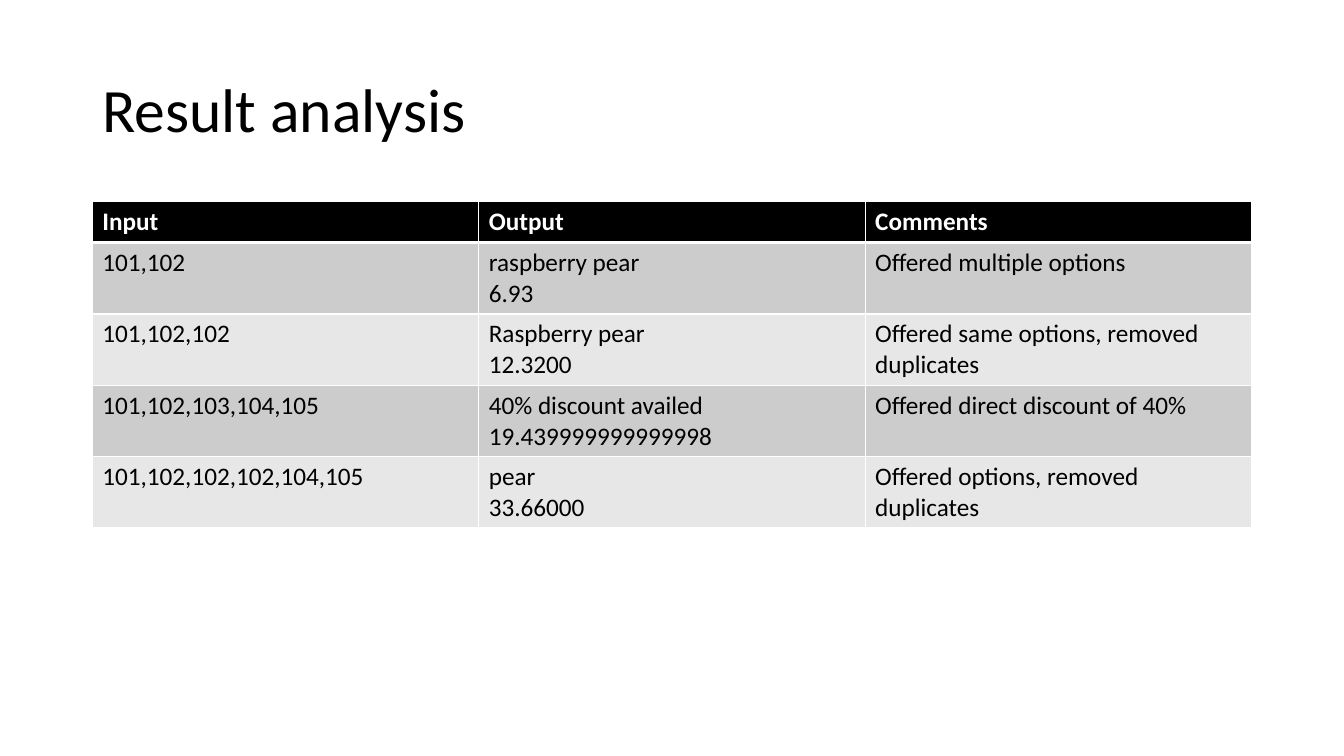
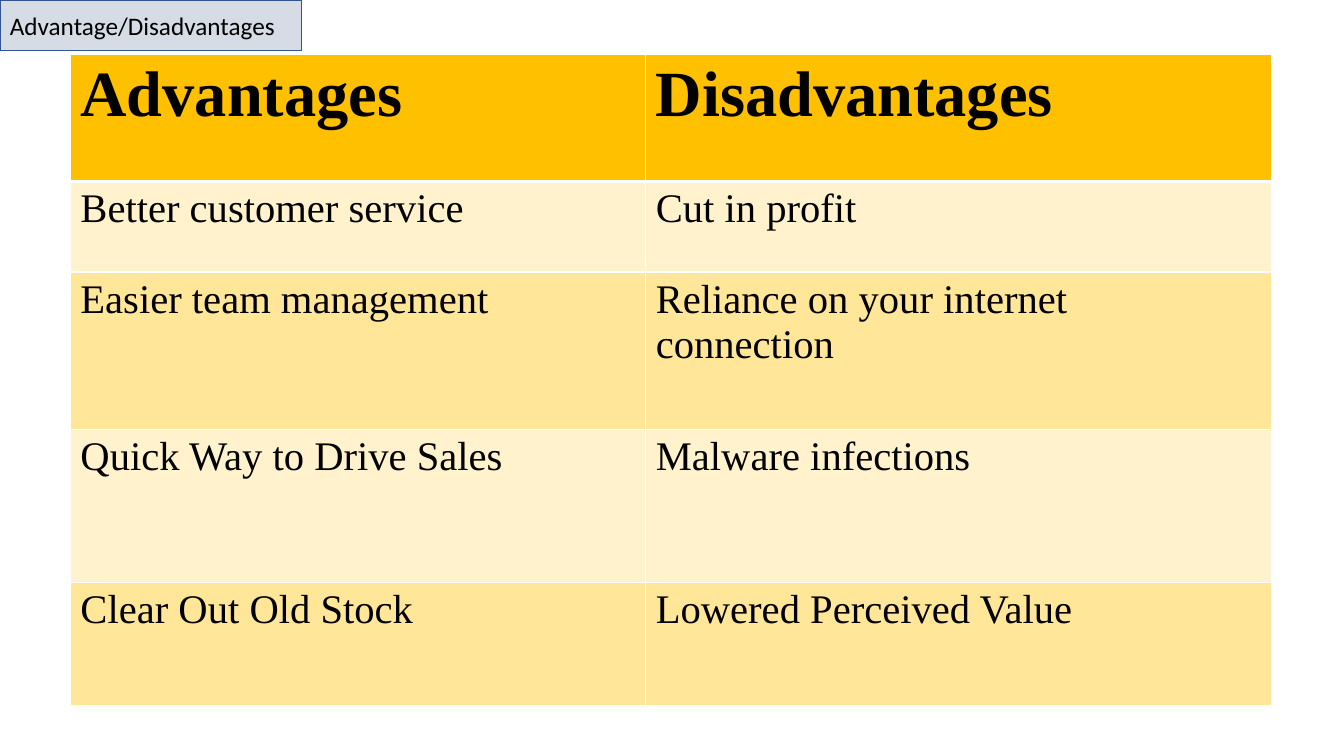
from lxml.etree import SubElement
from pptx import Presentation
from pptx.dml.color import RGBColor
from pptx.enum.shapes import MSO_SHAPE
from pptx.enum.text import MSO_ANCHOR, PP_ALIGN
from pptx.oxml.ns import qn
from pptx.util import Pt

PX = 9525
BLACK = RGBColor(0x00, 0x00, 0x00)
WHITE = RGBColor(0xFF, 0xFF, 0xFF)
DARK_GREY = RGBColor(0xCC, 0xCC, 0xCC)
LIGHT_GREY = RGBColor(0xE7, 0xE7, 0xE7)
GOLD = RGBColor(0xFF, 0xC0, 0x00)
CREAM = RGBColor(0xFF, 0xF2, 0xCC)
SAND = RGBColor(0xFF, 0xE6, 0x99)
PALE_BLUE = RGBColor(0xD6, 0xDC, 0xE5)
NAVY = RGBColor(0x32, 0x54, 0x91)
SANS, SERIF = "Calibri", "Times New Roman"

RESULTS = {
    "rows": [
        ("Input", "Output", "Comments"),
        ("101,102", "raspberry pear\n6.93", "Offered multiple options"),
        ("101,102,102", "Raspberry pear\n12.3200", "Offered same options, removed duplicates"),
        ("101,102,103,104,105", "40% discount availed\n19.439999999999998", "Offered direct discount of 40%"),
        ("101,102,102,102,104,105", "pear\n33.66000", "Offered options, removed duplicates"),
    ],
    "origin": (88, 192),
    "widths": [368] * 3,
    "heights": [39] + [68] * 4,
    "font": SANS,
    "header": (18, WHITE, BLACK),
    "body_size": 18,
    "bands": (DARK_GREY, LIGHT_GREY),
}
TRADE_OFFS = {
    "rows": [
        ("Advantages", "Disadvantages"),
        ("Better customer service", "Cut in profit"),
        ("Easier team management", "Reliance on your internet\vconnection"),
        ("Quick Way to Drive Sales", "Malware infections"),
        ("Clear Out Old Stock", "Lowered Perceived Value"),
    ],
    "origin": (67, 52),
    "widths": [548, 596],
    "heights": [121, 86, 150, 146, 117],
    "font": SERIF,
    "header": (46, BLACK, GOLD),
    "body_size": 29,
    "bands": (CREAM, SAND),
}


def px(*lengths):
    return [length * PX for length in lengths]


def style_text(frame, font, size, color, bold=False):
    for paragraph in frame.paragraphs:
        paragraph.font.name = font
        paragraph.font.size = Pt(size)
        paragraph.font.color.rgb = color
        paragraph.font.bold = bold


def add_borders(cell, top, bottom):
    properties = cell._tc.get_or_add_tcPr()
    for side, points in (("L", 1), ("R", 1), ("T", top), ("B", bottom)):
        line = SubElement(properties, qn(f"a:ln{side}"), w=str(Pt(points)))
        fill = SubElement(line, qn("a:solidFill"))
        SubElement(fill, qn("a:srgbClr"), val=str(WHITE))


def add_grid(slide, content):
    rows, widths, heights = content["rows"], content["widths"], content["heights"]
    frame = slide.shapes.add_table(
        len(rows), len(widths), *px(*content["origin"], sum(widths), sum(heights)))
    grid = frame.table
    for column, width in zip(grid.columns, widths):
        column.width = width * PX
    for row, height in zip(grid.rows, heights):
        row.height = height * PX
    header_size, header_color, header_fill = content["header"]
    for r, texts in enumerate(rows):
        is_header = r == 0
        for c, text in enumerate(texts):
            cell = grid.cell(r, c)
            cell.text = text
            add_borders(cell, 3 if r == 1 else 1, 3 if is_header else 1)
            cell.fill.solid()
            cell.fill.fore_color.rgb = header_fill if is_header else content["bands"][(r - 1) % 2]
            style_text(cell.text_frame, content["font"],
                       header_size if is_header else content["body_size"],
                       header_color if is_header else BLACK, is_header)


def add_title(slide, text):
    frame = slide.shapes.add_textbox(*px(88, 38, 1104, 139)).text_frame
    frame.word_wrap = True
    frame.vertical_anchor = MSO_ANCHOR.MIDDLE
    frame.text = text
    frame.paragraphs[0].line_spacing = 0.9
    style_text(frame, SANS, 44, BLACK)


def add_tab(slide, text):
    tab = slide.shapes.add_shape(MSO_SHAPE.RECTANGLE, *px(0, 0, 287, 48))
    tab.shadow.inherit = False
    tab.fill.solid()
    tab.fill.fore_color.rgb = PALE_BLUE
    tab.line.color.rgb = NAVY
    tab.line.width = Pt(1)
    frame = tab.text_frame
    frame.vertical_anchor = MSO_ANCHOR.MIDDLE
    frame.text = text
    frame.paragraphs[0].alignment = PP_ALIGN.LEFT
    style_text(frame, SANS, 18, BLACK)


def main():
    deck = Presentation()
    deck.slide_width, deck.slide_height = px(1280, 720)
    blank = deck.slide_layouts[6]

    results = deck.slides.add_slide(blank)
    add_title(results, "Result analysis")
    add_grid(results, RESULTS)

    trade_offs = deck.slides.add_slide(blank)
    add_grid(trade_offs, TRADE_OFFS)
    add_tab(trade_offs, "Advantage/Disadvantages")

    deck.save("out.pptx")


if __name__ == "__main__":
    main()
